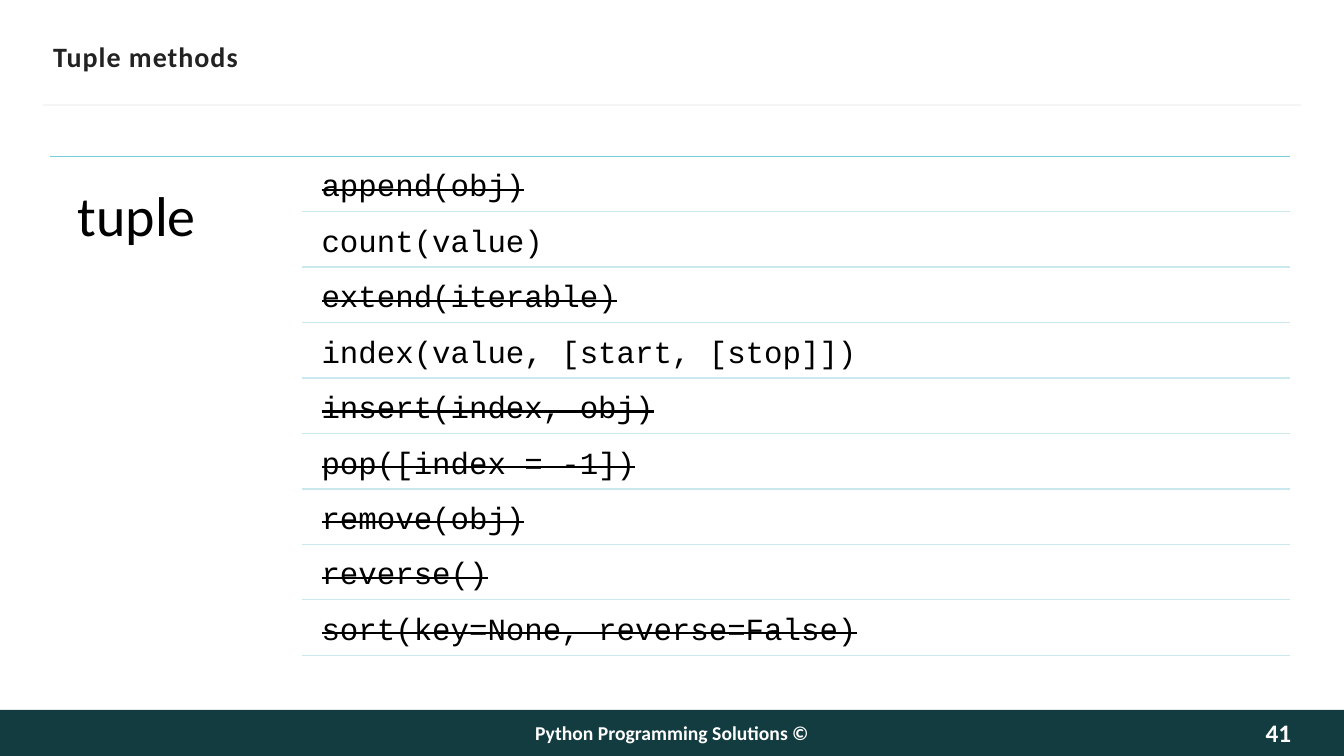
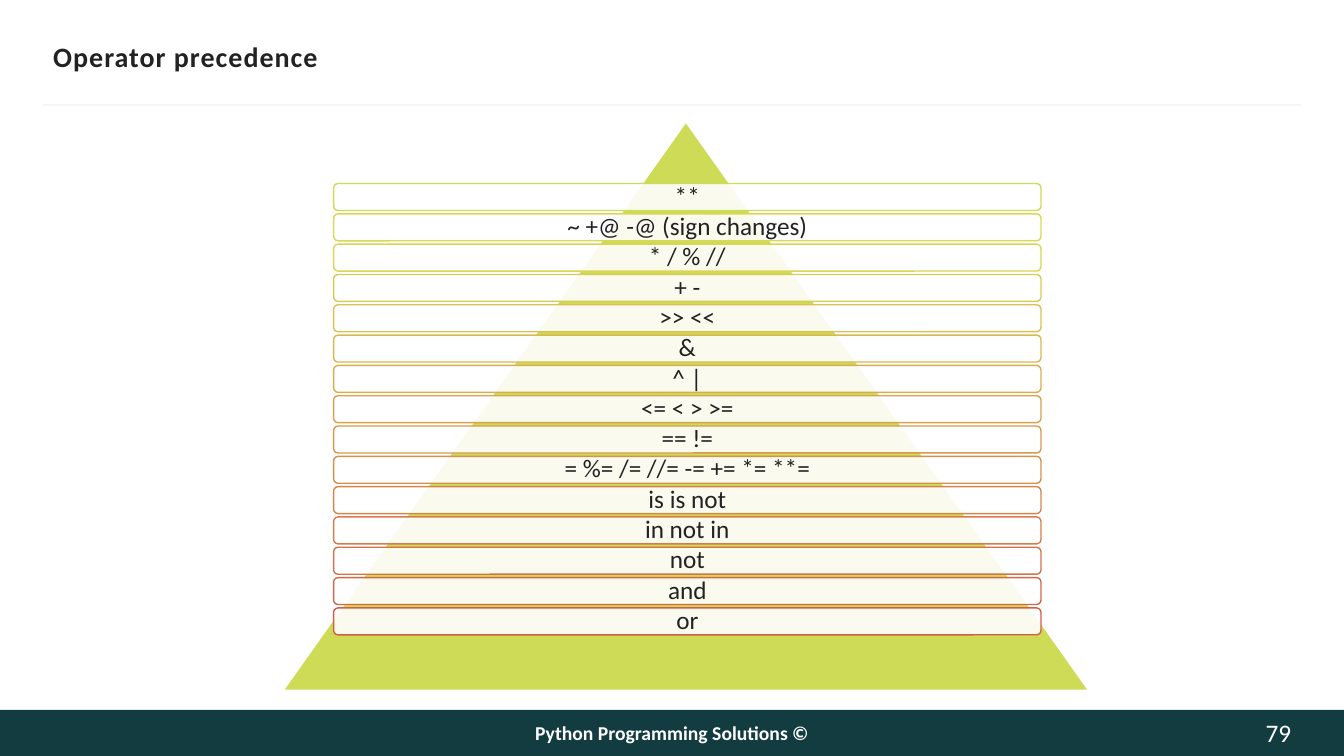
from colorsys import hls_to_rgb, rgb_to_hls

from lxml.etree import SubElement
from pptx import Presentation
from pptx.dml.color import RGBColor
from pptx.enum.shapes import MSO_CONNECTOR, MSO_SHAPE
from pptx.enum.text import MSO_ANCHOR, MSO_AUTO_SIZE, PP_ALIGN
from pptx.oxml.ns import qn
from pptx.util import Pt

WIDE, HIGH = 960, 540
INK, BLACK, WHITE = "222222", "000000", "FFFFFF"
TEAL, RULE, AQUA, PALE = "133C41", "F5F5F5", "76CDD8", "CAE8ED"
LIME, RED = "CEDB56", "D35D47"
SANS, MONO = "Calibri", "Courier New"
BAND = (0, 507, WIDE, 33)

# Method name, and whether tuples lack it
METHODS = [
    ("append(obj)", True),
    ("count(value)", False),
    ("extend(iterable)", True),
    ("index(value, [start, [stop]])", False),
    ("insert(index, obj)", True),
    ("pop([index = -1])", True),
    ("remove(obj)", True),
    ("reverse()", True),
    ("sort(key=None, reverse=False)", True),
]

LEVELS = [
    "**", "~ +@ -@ (sign changes)", "* / % //", "+ -", ">> <<", "&", "^ |",
    "<= < > >=", "== !=", "= %= /= //= -= += *= **=", "is is not",
    "in not in", "not", "and", "or",
]


def paint(fmt, tint):
    """Set a solid colour on a fill, or on the fill of a line."""
    fmt.solid()
    fmt.fore_color.rgb = RGBColor.from_string(tint)


def points(*nums):
    return [Pt(n) for n in nums]


def write(shape, text, size, tint, face=SANS, bold=False,
          align=PP_ALIGN.LEFT, anchor=MSO_ANCHOR.MIDDLE, pad=(0, 0),
          lead=None, **marks):
    """Fill a shape with one paragraph; marks are extra run attributes."""
    frame = shape.text_frame
    frame.word_wrap = True
    frame.auto_size = MSO_AUTO_SIZE.NONE
    frame.vertical_anchor = anchor
    frame.margin_left = frame.margin_right = Pt(pad[0])
    frame.margin_top = frame.margin_bottom = Pt(pad[1])
    para = frame.paragraphs[0]
    para.alignment = align
    if lead:
        para.line_spacing = lead
    font = para.font
    font.name, font.size, font.bold = face, Pt(size), bold
    paint(font.fill, tint)
    run = para.add_run()
    run.text = text
    for key, value in marks.items():
        run._r.get_or_add_rPr().set(key, value)


def label(slide, box, text, size, tint, **style):
    write(slide.shapes.add_textbox(*points(*box)), text, size, tint, **style)


def block(slide, kind, box, fill, edge=None):
    shape = slide.shapes.add_shape(kind, *points(*box))
    shape.shadow.inherit = False
    paint(shape.fill, fill)
    if edge:
        paint(shape.line.fill, edge)
        shape.line.width = Pt(1)
    else:
        shape.line.fill.background()
    return shape


def rule(slide, left, right, y, tint, width=1):
    line = slide.shapes.add_connector(
        MSO_CONNECTOR.STRAIGHT, *points(left, y, right, y))
    paint(line.line.fill, tint)
    line.line.width = Pt(width)
    SubElement(line._element.spPr, qn("a:effectLst"))


def footer(slide, box, number, bold):
    x, y, w, h = box
    block(slide, MSO_SHAPE.RECTANGLE, box, TEAL)
    label(slide, (x + 252, y, 456, h), "Python Programming Solutions ©",
          14, WHITE, bold=True, align=PP_ALIGN.CENTER)
    label(slide, (x + w - 85, y, 47.3, h), number, 18, "FEFEFE",
          bold=bold, align=PP_ALIGN.RIGHT)


def page(deck, title, number, bold=False):
    """Start a slide with the shared title, rule and footer."""
    slide = deck.slides.add_slide(deck.slide_layouts[5])
    head = slide.shapes.title
    head.left, head.top, head.width, head.height = points(38, 24, 885, 32)
    write(head, title, 20, INK, bold=True, spc="70")
    rule(slide, 31, 929, 75, RULE, 1.5)
    footer(slide, BAND, number, bold)
    return slide


def listing(slide, box, name, rows):
    """A name on the left, ruled rows of code on the right."""
    x, y, w, h = box
    step = h / len(rows)
    indent = 180
    rule(slide, x, x + w, y, AQUA)
    label(slide, (x, y + 3.6, 173, h), name, 40, BLACK, lead=0.9,
          anchor=MSO_ANCHOR.TOP, pad=(19.5, 19.5))
    for i, (code, gone) in enumerate(rows):
        top = y + i * step
        marks = {"strike": "sngStrike"} if gone else {}
        label(slide, (x + indent + 7.2, top + 3.6, w - indent - 10.8, 36),
              code, 22, BLACK, face=MONO, lead=0.9,
              anchor=MSO_ANCHOR.TOP, pad=(6.5, 6.5), **marks)
        rule(slide, x + indent, x + w, top + step, PALE)


def blend(start, end, part):
    """Mix two hex colours along hue, lightness and saturation."""
    ends = [rgb_to_hls(*(v / 255 for v in RGBColor.from_string(tint)))
            for tint in (start, end)]
    mixed = [a + (b - a) * part for a, b in zip(*ends)]
    return "".join(f"{round(v * 255):02X}" for v in hls_to_rgb(*mixed))


def pyramid(slide, box, rows):
    """A triangle with one translucent bar for each row."""
    x, y, w, h = box
    block(slide, MSO_SHAPE.ISOSCELES_TRIANGLE, box, LIME, WHITE)
    step = 21.65
    for i, text in enumerate(rows):
        edge = blend(LIME, RED, i / (len(rows) - 1))
        bar = block(slide, MSO_SHAPE.ROUNDED_RECTANGLE,
                    (x + 36, y + 44 + i * step, w - 70, step * 8 / 9),
                    WHITE, edge)
        tint = bar._element.spPr.find(qn("a:solidFill"))[0]
        SubElement(tint, qn("a:alpha")).set("val", "90000")
        write(bar, text, 18, INK, align=PP_ALIGN.CENTER, lead=0.9,
              pad=(5, 0))


def main():
    deck = Presentation()
    deck.slide_width, deck.slide_height = points(WIDE, HIGH)

    slide = page(deck, "Tuple methods", "41", bold=True)
    listing(slide, (36, 111.6, 885.6, 356.4), "tuple", METHODS)

    slide = page(deck, "Operator precedence", "79")
    pyramid(slide, (202.3, 87.1, 575.3, 406), LEVELS)

    deck.save("out.pptx")


if __name__ == "__main__":
    main()
